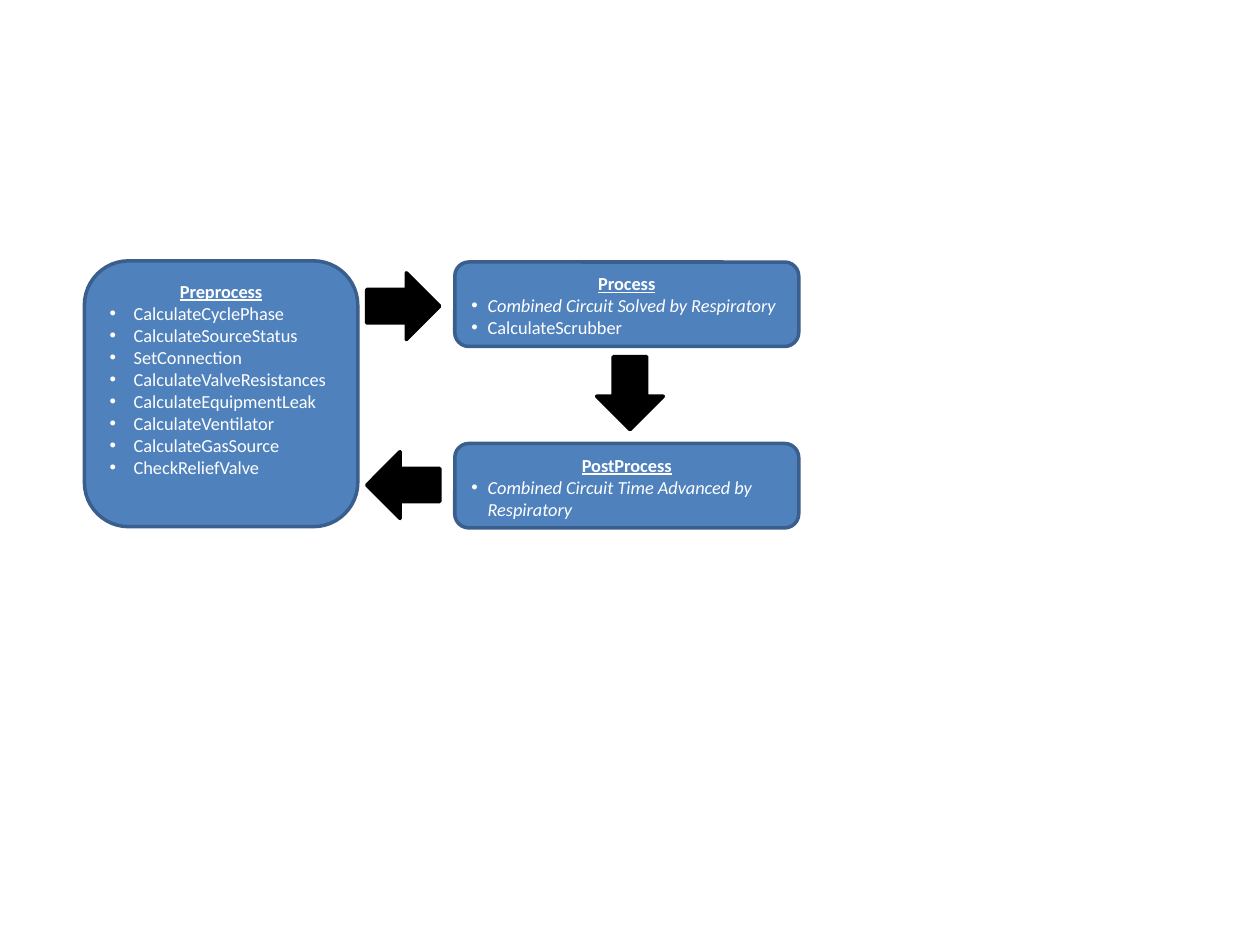
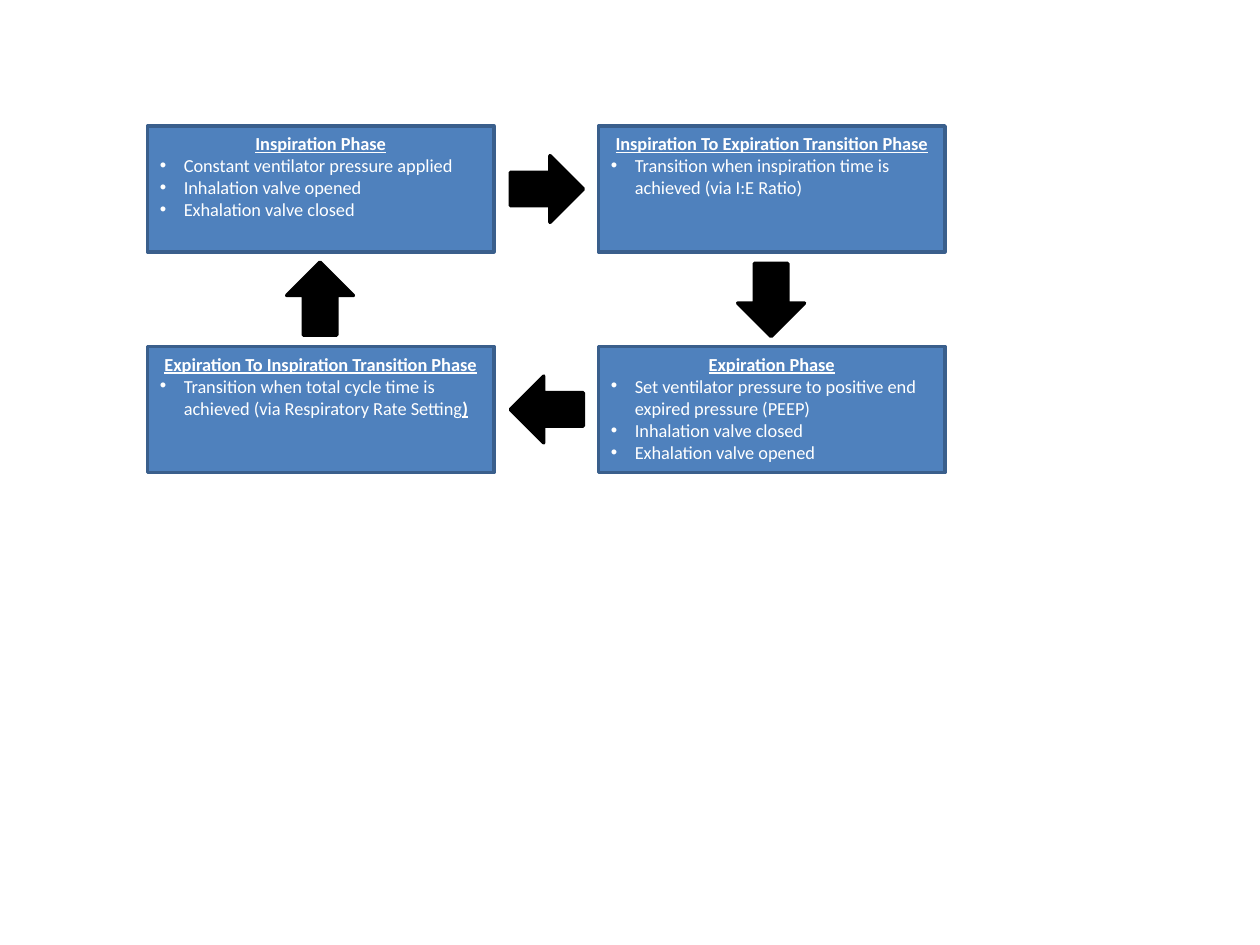
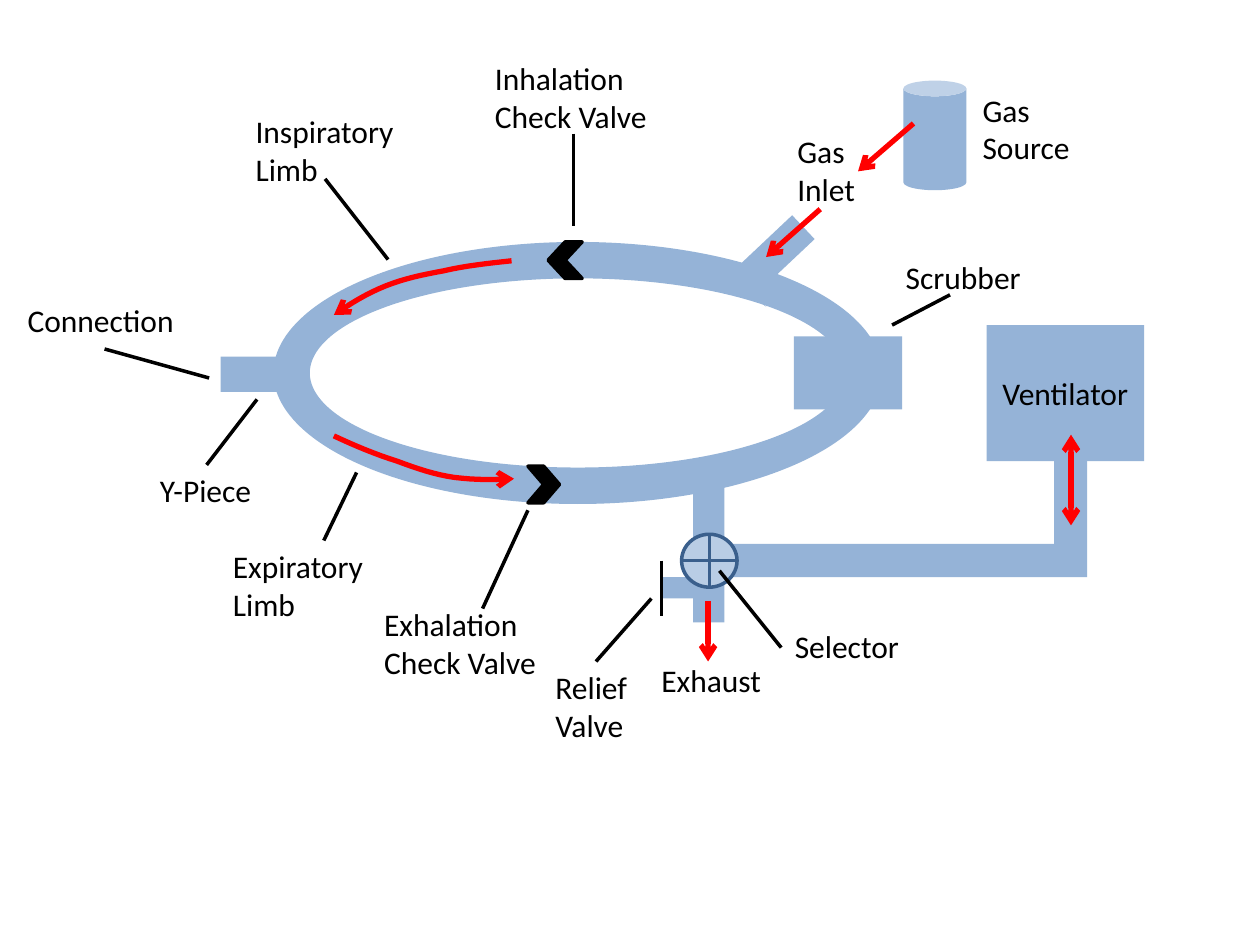
from lxml.etree import SubElement
from pptx import Presentation
from pptx.dml.color import RGBColor
from pptx.enum.shapes import MSO_CONNECTOR, MSO_SHAPE
from pptx.enum.text import MSO_ANCHOR, MSO_AUTO_SIZE, PP_ALIGN
from pptx.oxml.ns import qn
from pptx.util import Inches, Pt

# Shared style
FONT = "Calibri"
BLACK = RGBColor(0x00, 0x00, 0x00)
WHITE = RGBColor(0xFF, 0xFF, 0xFF)
RED = RGBColor(0xFF, 0x00, 0x00)
BOX_BLUE = RGBColor(0x4F, 0x81, 0xBD)
EDGE_BLUE = RGBColor(0x3A, 0x5F, 0x8C)
TUBE_BLUE = RGBColor(0x95, 0xB3, 0xD7)
PALE_BLUE = RGBColor(0xB9, 0xCD, 0xE5)

BOX_TEXT = {"size": Pt(10.5), "bold": False, "underline": False}
HEADING = {"bold": True, "underline": True}
ITALIC = {"italic": True}
LABEL_TEXT = {"size": Pt(18)}
EDGE, FLOW = 2, 3
COLUMNS, ROWS = 10, 7.5
DOWN, LEFT, UP, RIGHT = 0, 90, 180, 270


def plain(*names):
    """One bullet per name, each a single unformatted run."""
    return [[(name, {})] for name in names]


def curve(start, control_1, control_2, end, steps=8):
    """Points along a cubic curve, without its start."""
    for step in range(1, steps + 1):
        t = step / steps
        weights = ((1 - t) ** 3, 3 * t * (1 - t) ** 2, 3 * t * t * (1 - t), t ** 3)
        knots = (start, control_1, control_2, end)
        yield tuple(sum(w * k[axis] for w, k in zip(weights, knots)) for axis in (0, 1))


class Deck:
    def __init__(self):
        self.deck = Presentation()
        self.deck.slide_width, self.deck.slide_height = Inches(10), Inches(7.5)

    def new_slide(self):
        self.slide = self.deck.slides.add_slide(self.deck.slide_layouts[6])

    def grid(self, column, row):
        return (round(self.deck.slide_width * column / COLUMNS),
                round(self.deck.slide_height * row / ROWS))

    def add_text(self, paragraph, text, color, *formats):
        run = paragraph.add_run()
        run.text = text
        run.font.name = FONT
        run.font.color.rgb = color
        for values in formats:
            for key, value in values.items():
                setattr(run.font, key, value)

    def shape(self, kind, at, fill, edge=None, adjust=(), turn=0):
        figure = self.slide.shapes.add_shape(kind, *self.grid(*at[:2]), *self.grid(*at[2:]))
        figure.shadow.inherit = False
        figure.fill.solid()
        figure.fill.fore_color.rgb = fill
        if edge is None:
            figure.line.fill.background()
        else:
            figure.line.color.rgb = edge
            figure.line.width = Pt(EDGE)
        for index, value in enumerate(adjust):
            figure.adjustments[index] = value
        figure.rotation = turn
        return figure

    def step_box(self, kind, at, heading, bullets, indent=0.19):
        frame = self.shape(kind, at, BOX_BLUE, EDGE_BLUE).text_frame
        frame.word_wrap = True
        frame.vertical_anchor = MSO_ANCHOR.TOP
        title = frame.paragraphs[0]
        title.alignment = PP_ALIGN.CENTER
        self.add_text(title, heading, WHITE, BOX_TEXT, HEADING)
        for runs in bullets:
            bullet = frame.add_paragraph()
            bullet.alignment = PP_ALIGN.LEFT
            settings = bullet._p.get_or_add_pPr()
            settings.set("marL", str(Inches(indent)))
            settings.set("indent", str(-Inches(indent)))
            SubElement(settings, qn("a:buFont"), typeface="Arial")
            SubElement(settings, qn("a:buChar"), char="•")
            for text, look in runs:
                self.add_text(bullet, text, WHITE, BOX_TEXT, look)

    def block_arrow(self, column, row, direction):
        """Arrow centred on a grid point."""
        width, height = 0.53, 0.58
        self.shape(MSO_SHAPE.DOWN_ARROW, (column - width / 2, row - height / 2, width, height),
                   BLACK, BLACK, turn=direction)

    def label(self, at, *lines, wrap=False):
        box = self.slide.shapes.add_textbox(*self.grid(*at[:2]), *self.grid(*at[2:]))
        frame = box.text_frame
        frame.word_wrap = wrap
        frame.auto_size = MSO_AUTO_SIZE.SHAPE_TO_FIT_TEXT
        for index, text in enumerate(lines):
            paragraph = frame.add_paragraph() if index else frame.paragraphs[0]
            self.add_text(paragraph, text, BLACK, LABEL_TEXT)

    def stroke(self, figure, color, width, ends=()):
        figure.line.color.rgb = color
        figure.line.width = Pt(width)
        for end in ends:
            SubElement(figure.line._get_or_add_ln(), qn(f"a:{end}"), type="arrow")

    def line(self, start, end, color=BLACK, width=EDGE, ends=()):
        link = self.slide.shapes.add_connector(
            MSO_CONNECTOR.STRAIGHT, *self.grid(*start), *self.grid(*end))
        self.stroke(link, color, width, ends)
        SubElement(link._element.spPr, qn("a:effectLst"))

    def flow(self, start, end, ends=("tailEnd",)):
        self.line(start, end, RED, FLOW, ends)

    def curved_flow(self, start, *segments):
        builder = self.slide.shapes.build_freeform(*self.grid(*start))
        for segment in segments:
            points = [self.grid(*point) for point in curve(start, *segment)]
            builder.add_line_segments(points, close=False)
            start = segment[-1]
        bend = builder.convert_to_shape()
        bend.shadow.inherit = False
        bend.fill.background()
        self.stroke(bend, RED, FLOW, ("tailEnd",))


deck = Deck()

# Slide 1: calculation cycle
deck.new_slide()
deck.step_box(MSO_SHAPE.ROUNDED_RECTANGLE, (0.67, 2.07, 2.17, 2.11), "Preprocess", plain(
    "CalculateCyclePhase", "CalculateSourceStatus", "SetConnection",
    "CalculateValveResistances", "CalculateEquipmentLeak", "CalculateVentilator",
    "CalculateGasSource", "CheckReliefValve"))
for row, heading, bullets in (
    (2.08, "Process", [[("Combined Circuit Solved by Respiratory", ITALIC)],
                       *plain("CalculateScrubber")]),
    (3.52, "PostProcess", [[("Combined Circuit Time Advanced by Respiratory", ITALIC)]]),
):
    deck.step_box(MSO_SHAPE.ROUNDED_RECTANGLE, (3.61, row, 2.73, 0.67), heading, bullets, 0.13)
for column, row, direction in ((3.2, 2.43, RIGHT), (5, 3.12, DOWN), (3.2, 3.85, LEFT)):
    deck.block_arrow(column, row, direction)

# Slide 2: breathing phases
deck.new_slide()
phases = (
    (0, 0, "Inspiration Phase", plain(
        "Constant ventilator pressure applied", "Inhalation valve opened",
        "Exhalation valve closed")),
    (1, 0, "Inspiration To Expiration Transition Phase", plain(
        "Transition when inspiration time is achieved (via I:E Ratio)")),
    (1, 1, "Expiration Phase", plain(
        "Set ventilator pressure to positive end expired pressure (PEEP)",
        "Inhalation valve closed", "Exhalation valve opened")),
    (0, 1, "Expiration To Inspiration Transition Phase", [[
        ("Transition when total cycle time is achieved (via Respiratory Rate Setting", {}),
        (")", HEADING)]]),
)
for across, down, heading, bullets in phases:
    deck.step_box(MSO_SHAPE.RECTANGLE, (1.17 + 3.58 * across, 1 + 1.75 * down, 2.75, 1),
                  heading, bullets)
for column, row, direction in (
    (4.34, 1.5, RIGHT), (6.12, 2.38, DOWN), (4.34, 3.25, LEFT), (2.54, 2.37, UP),
):
    deck.block_arrow(column, row, direction)

# Slide 3: breathing circuit
deck.new_slide()

# Tubes and equipment
for kind, at, adjust, turn in (
    (MSO_SHAPE.DONUT, (2.17, 1.92, 4.83, 2.08), (0.139,), 0),
    (MSO_SHAPE.RECTANGLE, (6.3, 2.67, 0.86, 0.58), (), 0),
    (MSO_SHAPE.RECTANGLE, (5.5, 3.75, 0.25, 1.19), (), 0),
    (MSO_SHAPE.BENT_UP_ARROW, (5.75, 3.25, 3.08, 1.33), (0.197, 0.25, 0.117), 0),
    (MSO_SHAPE.ROUND_1_RECTANGLE, (1.75, 2.83, 0.58, 0.28), (), 0),
    (MSO_SHAPE.LEFT_ARROW, (5.78, 1.78, 0.69, 0.52), (0.5, 0.082), 316.7),
    (MSO_SHAPE.RECTANGLE, (5.25, 4.58, 0.38, 0.17), (), 0),
    (MSO_SHAPE.CAN, (7.17, 0.64, 0.5, 0.87), (), 0),
):
    deck.shape(kind, at, TUBE_BLUE, adjust=adjust, turn=turn)
ventilator = deck.shape(MSO_SHAPE.RECTANGLE, (7.83, 2.58, 1.25, 1.08), TUBE_BLUE).text_frame
ventilator.vertical_anchor = MSO_ANCHOR.MIDDLE
ventilator.paragraphs[0].alignment = PP_ALIGN.CENTER
deck.add_text(ventilator.paragraphs[0], "Ventilator", BLACK, LABEL_TEXT)

# Valves and selector
deck.shape(MSO_SHAPE.CHEVRON, (4.19, 3.7, 0.25, 0.29), BLACK, BLACK)
deck.shape(MSO_SHAPE.CHEVRON, (4.35, 1.92, 0.27, 0.29), BLACK, BLACK, turn=180)
deck.shape(MSO_SHAPE.FLOWCHART_OR, (5.41, 4.24, 0.44, 0.42), PALE_BLUE, EDGE_BLUE)
deck.line((5.25, 4.45), (5.25, 4.89))

# Labels
ONE_LINE, TWO_LINES = 0.4, 0.71
for left, top, width, *lines in (
    (1.93, 0.84, 1.31, "Inspiratory", "Limb"),
    (6.23, 1, 0.67, "Gas", "Inlet"),
    (1.75, 4.29, 1.24, "Expiratory", "Limb"),
    (1.17, 3.69, 0.95, "Y-Piece"),
    (7.09, 2, 1.13, "Scrubber"),
    (4.31, 5.25, 0.84, "Relief", "Valve"),
    (6.21, 4.93, 1.04, "Selector"),
    (0.12, 2.34, 1.38, "Connection"),
    (7.7, 0.67, 0.9, "Gas", "Source"),
    (3.83, 0.42, 1.44, "Inhalation", "Check Valve"),
    (2.95, 4.75, 1.44, "Exhalation", "Check Valve"),
    (5.15, 5.2, 1, "Exhaust"),
):
    height = TWO_LINES if len(lines) == 2 else ONE_LINE
    deck.label((left, top, width, height), *lines, wrap="Check Valve" in lines)

# Leader lines from labels to parts
for start, end in (
    ((2.58, 1.42), (3.08, 2.06)),
    ((2.83, 3.75), (2.57, 4.29)),
    ((7.54, 2.34), (7.08, 2.58)),
    ((4.73, 5.25), (5.17, 4.75)),
    ((1.64, 3.69), (2.04, 3.17)),
    ((1.66, 3), (0.83, 2.77)),
    ((4.55, 1.06), (4.55, 1.79)),
    ((4.19, 4.05), (3.83, 4.83)),
    ((5.71, 4.53), (6.2, 5.14)),
):
    deck.line(start, end)

# Gas flow
deck.curved_flow((4.06, 2.07),
                 ((3.88, 2.09), (3.69, 2.11), (3.52, 2.15)),
                 ((3.36, 2.18), (3.21, 2.21), (3.06, 2.27)),
                 ((2.91, 2.33), (2.78, 2.41), (2.65, 2.5)))
deck.curved_flow((2.65, 3.46),
                 ((2.82, 3.54), (2.99, 3.61), (3.15, 3.66)),
                 ((3.31, 3.72), (3.46, 3.77), (3.61, 3.79)),
                 ((3.77, 3.81), (3.93, 3.81), (4.08, 3.8)))
deck.flow((6.51, 1.66), (6.08, 2.04))
deck.flow((7.25, 0.98), (6.81, 1.36))
deck.flow((5.62, 4.77), (5.62, 5.25))
deck.flow((8.5, 3.45), (8.5, 4.17), ("headEnd", "tailEnd"))

deck.deck.save("out.pptx")
